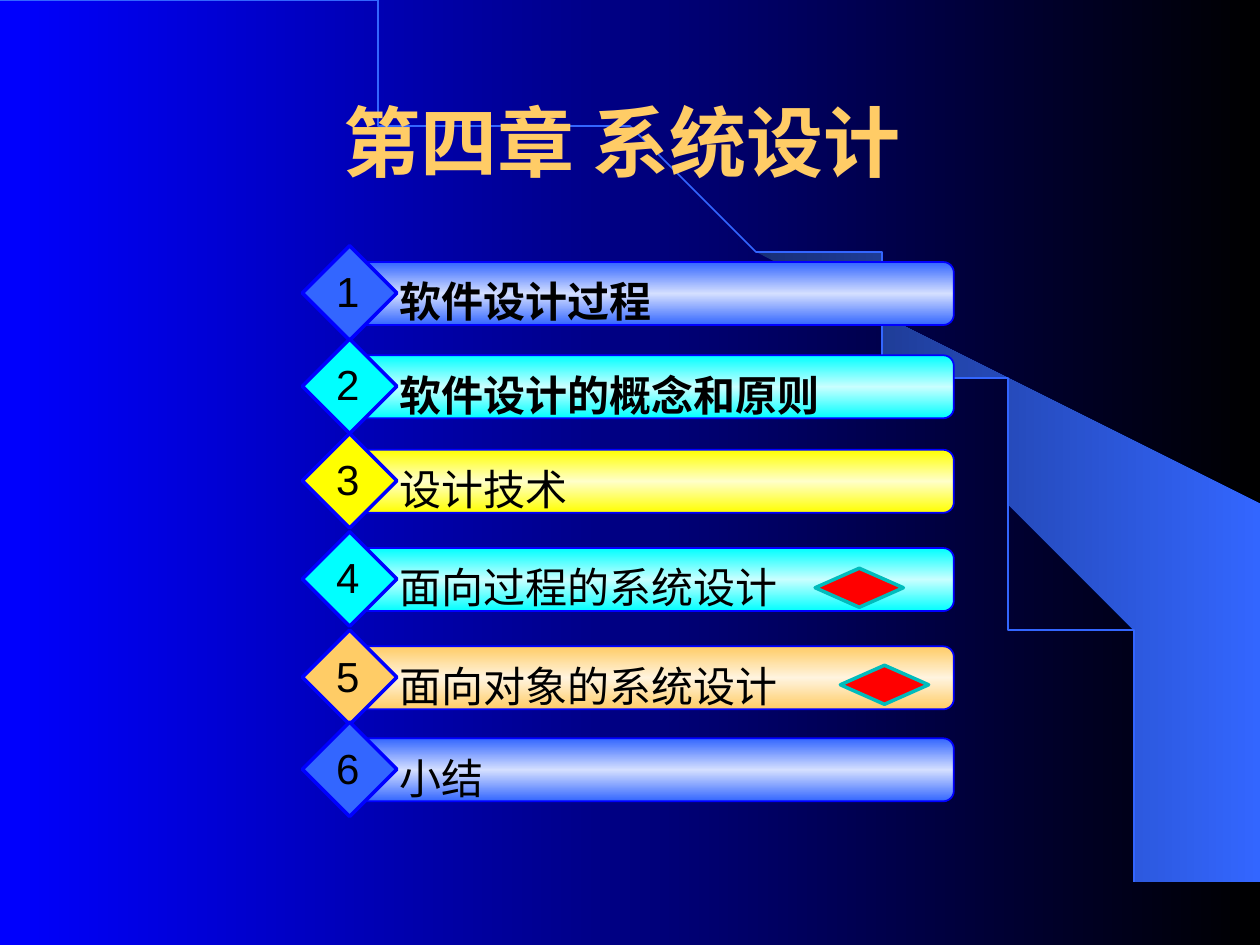
from copy import deepcopy
from dataclasses import dataclass

from lxml import etree
from pptx import Presentation
from pptx.dml.color import RGBColor
from pptx.enum import shapes, text
from pptx.oxml import ns
from pptx.util import Inches, Pt

COLORS = {
    "blue": "3366FF", "pale blue": "D4DFFF", "deep blue": "0000FF",
    "cyan": "00FFFF", "pale cyan": "C9FFFF",
    "yellow": "FFFF00", "pale yellow": "FFFFC9",
    "gold": "FFCC66", "pale gold": "FFF4DF",
    "navy": "182F76", "black": "000000", "red": "FF0000", "teal": "00BCBC",
}
CJK_FONT = "Noto Sans CJK SC"
BEAM = [
    (9.2, 7.48), (9.99, 7.49), (9.99, 4.23), (5.89, 1.73), (6.24, 1.99),
    (6.53, 2.22), (6.85, 2.5), (7.16, 2.8), (7.62, 3.3), (8.03, 3.84),
    (8.32, 4.31), (8.58, 4.79), (8.78, 5.28), (8.93, 5.72), (9.03, 6.09),
    (9.13, 6.56), (9.17, 6.96),
]
ARC = [(0, 0), (5.08, 0), (9.2, 3.35), (9.2, 7.49)]
ARC_STEPS = 80


@dataclass
class Chapter:
    title: str
    top: float
    color: str
    font: str = "Times New Roman"
    bold: bool = False


@dataclass
class Marker:
    left: float
    top: float


CHAPTERS = [
    Chapter("软件设计过程", 2.08, "blue", CJK_FONT, True),
    Chapter("软件设计的概念和原则", 2.82, "cyan", CJK_FONT, True),
    Chapter("设计技术", 3.57, "yellow"),
    Chapter("面向过程的系统设计", 4.35, "cyan"),
    Chapter("面向对象的系统设计", 5.13, "gold"),
    Chapter("小结", 5.86, "blue"),
]
MARKERS = [Marker(6.47, 4.51), Marker(6.67, 5.28)]


def rgb(color: str) -> RGBColor:
    """Look a colour up by name."""
    return RGBColor.from_string(COLORS[color])


def paint_gradient(fill, owner, colors: list[str], angle: float) -> None:
    """Spread the colours evenly along a linear gradient."""
    fill.gradient()
    fill.gradient_angle = angle
    stop_list = next(owner.iter(ns.qn("a:gsLst")))
    for _ in colors[2:]:
        stop_list.append(deepcopy(stop_list[0]))
    for index, (stop, color) in enumerate(zip(fill.gradient_stops, colors)):
        stop.color.rgb = rgb(color)
        stop.position = index / (len(colors) - 1)


def outline(shape, color: str, width: float) -> None:
    """Give a shape a plain line and no shadow."""
    shape.shadow.inherit = False
    shape.line.color.rgb = rgb(color)
    shape.line.width = Pt(width)


def add_diamond(slide, box: tuple, color: str, line: str) -> None:
    """Draw a filled diamond."""
    diamond = slide.shapes.add_shape(shapes.MSO_SHAPE.DIAMOND, *map(Inches, box))
    diamond.fill.solid()
    diamond.fill.fore_color.rgb = rgb(color)
    outline(diamond, line, 2)


def add_label(slide, box: tuple, words: str, font: str, size: float = 24,
              color: str = "black", bold: bool = False, wrap: bool = True):
    """Write one line of text and return its box."""
    label = slide.shapes.add_textbox(*map(Inches, box))
    frame = label.text_frame
    frame.word_wrap = wrap
    frame.auto_size = text.MSO_AUTO_SIZE.SHAPE_TO_FIT_TEXT
    run = frame.paragraphs[0].add_run()
    run.text = words
    run.font.name = font
    run.font.size = Pt(size)
    run.font.bold = bold
    run.font.color.rgb = rgb(color)
    properties = run.font._element
    east_asian = etree.SubElement(properties, ns.qn("a:ea"))
    east_asian.set("typeface", CJK_FONT)
    return label


def add_backdrop(slide) -> None:
    """Draw the gradient background, the light beam and the arc."""
    paint_gradient(slide.background.fill, slide._element, ["deep blue", "black"], 0)

    builder = slide.shapes.build_freeform(*BEAM[0], scale=Inches(1))
    builder.add_line_segments(BEAM[1:], close=True)
    beam = builder.convert_to_shape()
    beam.shadow.inherit = False
    beam.line.fill.background()
    paint_gradient(beam.fill, beam._element, ["navy", "blue"], 0)

    points = []
    for step in range(ARC_STEPS + 1):
        t = step / ARC_STEPS
        weights = ((1 - t) ** 3, 3 * t * (1 - t) ** 2, 3 * t * t * (1 - t), t ** 3)
        points.append(tuple(
            sum(w * p[axis] for w, p in zip(weights, ARC)) for axis in (0, 1)))
    builder = slide.shapes.build_freeform(*points[0], scale=Inches(1))
    builder.add_line_segments(points[1:], close=False)
    arc = builder.convert_to_shape()
    arc.fill.background()
    outline(arc, "blue", 1)


def add_chapter(slide, number: int, chapter: Chapter) -> None:
    """Draw one numbered bar of the outline."""
    top = chapter.top
    bar = slide.shapes.add_shape(
        shapes.MSO_SHAPE.ROUNDED_RECTANGLE,
        Inches(2.82), Inches(top), Inches(4.75), Inches(0.5))
    paint_gradient(bar.fill, bar._element,
                   [chapter.color, f"pale {chapter.color}", chapter.color], 90)
    outline(bar, "deep blue", 1)
    add_diamond(slide, (2.4, top - 0.13, 0.75, 0.75), chapter.color, "deep blue")
    add_label(slide, (3.07, top + 0.06, 3.75, 0.5), chapter.title,
              chapter.font, bold=chapter.bold)
    add_label(slide, (2.57, top - 0.02, 0.38, 0.5), str(number), "Arial", wrap=False)


def main() -> None:
    """Build the chapter outline slide."""
    deck = Presentation()
    deck.slide_width, deck.slide_height = Inches(10), Inches(7.5)
    slide = deck.slides.add_slide(deck.slide_layouts[6])
    add_backdrop(slide)

    heading = add_label(slide, (0.44, 0.24, 9, 1.75), "第四章 系统设计",
                        "Arial", 44, "gold", True)
    heading.text_frame.auto_size = text.MSO_AUTO_SIZE.NONE
    heading.text_frame.vertical_anchor = text.MSO_ANCHOR.MIDDLE
    heading.text_frame.paragraphs[0].alignment = text.PP_ALIGN.CENTER

    for number, chapter in enumerate(CHAPTERS, 1):
        add_chapter(slide, number, chapter)
    for marker in MARKERS:
        add_diamond(slide, (marker.left, marker.top, 0.7, 0.31), "red", "teal")
    deck.save("out.pptx")


if __name__ == "__main__":
    main()
